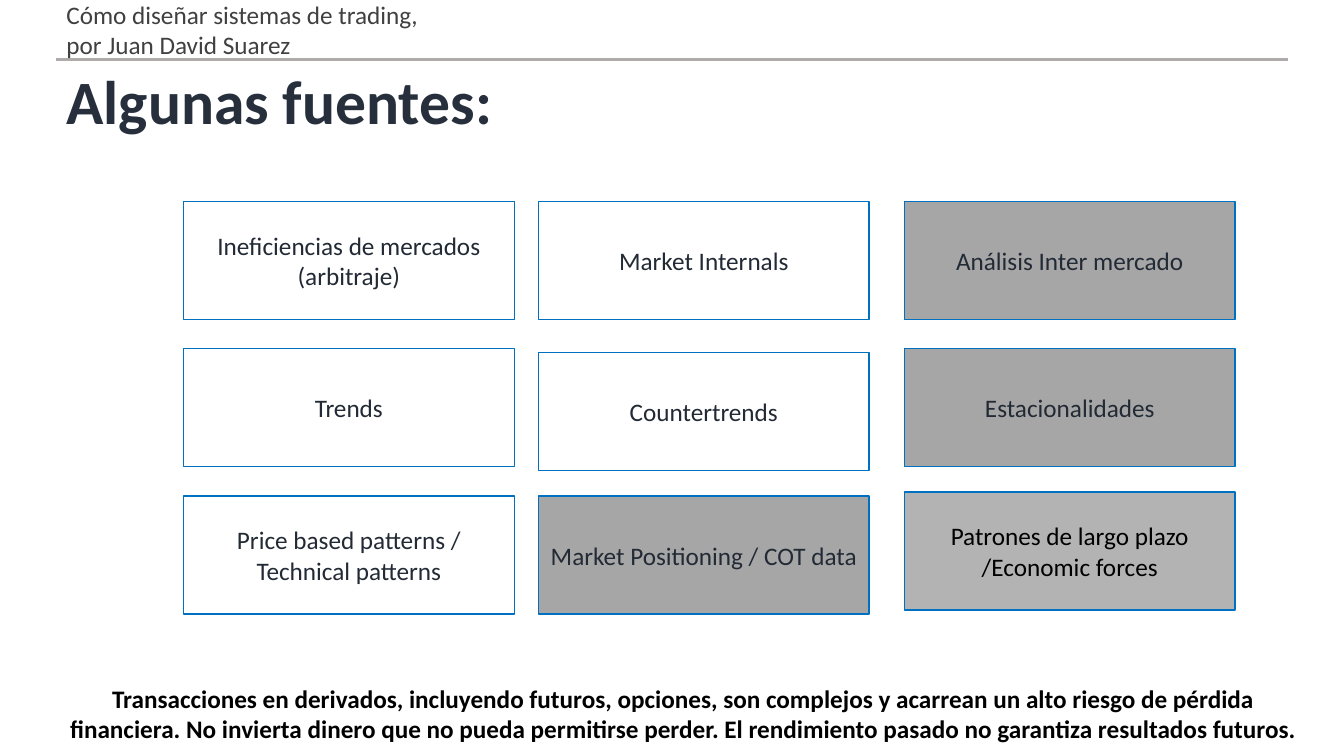
from lxml.etree import SubElement as Sub
from pptx import Presentation
from pptx.dml.color import RGBColor
from pptx.enum.shapes import MSO_CONNECTOR as Conn, MSO_SHAPE as Shape
from pptx.enum.text import MSO_ANCHOR as Anchor, MSO_AUTO_SIZE as Fit, PP_ALIGN as Align
from pptx.oxml.ns import qn
from pptx.util import Inches, Pt

BLACK = RGBColor(0x00, 0x00, 0x00)
GREY = RGBColor(0x40, 0x40, 0x40)
NAVY = RGBColor(0x26, 0x2F, 0x3B)
INK = RGBColor(0x22, 0x2A, 0x35)
BLUE = RGBColor(0x00, 0x70, 0xC0)
RULE = RGBColor(0xAF, 0xAB, 0xAB)
DARK = RGBColor(0xA6, 0xA6, 0xA6)
PALE = RGBColor(0xB3, 0xB3, 0xB3)

LEFT = 4.2
COLS = (13.65, 40.06, 67.29)
TOP, STEP = 26.67, 19.47
WIDE, HIGH = 24.61, 15.6
SHIFT = 0.53

ROWS = (
    (("Ineficiencias de mercados (arbitraje)", None, INK, 0),
     ("Market Internals", None, INK, 0),
     ("Análisis Inter mercado", DARK, INK, 0)),
    (("Trends", None, INK, 0),
     ("Countertrends", None, INK, SHIFT),
     ("Estacionalidades", DARK, INK, 0)),
    (("Price based patterns / Technical patterns", None, INK, 0),
     ("Market Positioning / COT data", DARK, INK, 0),
     ("Patrones de largo plazo /Economic forces", PALE, BLACK, -SHIFT)),
)


def write(shape, text, size=18, color=INK, bold=False, align=Align.LEFT, lead=None):
    frame = shape.text_frame
    frame.word_wrap = True
    frame.auto_size = Fit.NONE
    frame.vertical_anchor = Anchor.MIDDLE
    para = frame.paragraphs[0]
    para.alignment = align
    if lead:
        para.line_spacing = lead
    run = para.add_run()
    run.text = text
    font = run.font
    font.name, font.size, font.bold = "Calibri", Pt(size), bold
    font.color.rgb = color


class Deck:
    def __init__(self):
        self.show = Presentation()
        self.show.slide_width = Inches(13.33)
        self.show.slide_height = Inches(7.5)
        self.slide = self.show.slides.add_slide(self.show.slide_layouts[5])
        self.items = self.slide.shapes

    def area(self, x, y, w, h):
        wide, high = self.show.slide_width, self.show.slide_height
        return [int(part * full / 100)
                for part, full in zip((x, y, w, h), (wide, high, wide, high))]

    def title(self, text, *spot, **style):
        shape = self.items.title
        shape.left, shape.top, shape.width, shape.height = self.area(*spot)
        write(shape, text, **style)

    def label(self, text, *spot, **style):
        write(self.items.add_textbox(*self.area(*spot)), text, **style)

    def box(self, text, *spot, fill=None, **style):
        shape = self.items.add_shape(Shape.RECTANGLE, *self.area(*spot))
        shape.shadow.inherit = False
        if fill is None:
            shape.fill.background()
        else:
            shape.fill.solid()
            shape.fill.fore_color.rgb = fill
        shape.line.color.rgb = BLUE
        shape.line.width = Pt(1)
        write(shape, text, align=Align.CENTER, **style)

    def line(self, *ends):
        rule = self.items.add_connector(Conn.STRAIGHT, *self.area(*ends))
        rule.line.color.rgb = RULE
        rule.line.width = Pt(1.5)
        Sub(rule.element.spPr, qn("a:effectLst"))


def main():
    deck = Deck()
    deck.line(LEFT, 7.87, 95.8, 7.87)
    deck.label("Cómo diseñar sistemas de trading, por Juan David Suarez",
               LEFT, 1.6, 29.48, 4.53, color=GREY)
    deck.title("Algunas fuentes:", LEFT, 8.53, 91.52, 10.53,
               size=44, color=NAVY, bold=True, lead=0.9)
    for row, cells in enumerate(ROWS):
        for x, (text, fill, color, shift) in zip(COLS, cells):
            deck.box(text, x, TOP + row * STEP + shift, WIDE, HIGH,
                     fill=fill, color=color)
    deck.label("Transacciones en derivados, incluyendo futuros, opciones, son complejos "
               "y acarrean un alto riesgo de pérdida financiera. No invierta dinero que "
               "no pueda permitirse perder. El rendimiento pasado no garantiza "
               "resultados futuros.",
               LEFT, 90.13, 93.32, 8.4, color=BLACK, bold=True, align=Align.CENTER)
    deck.show.save("out.pptx")


if __name__ == "__main__":
    main()
